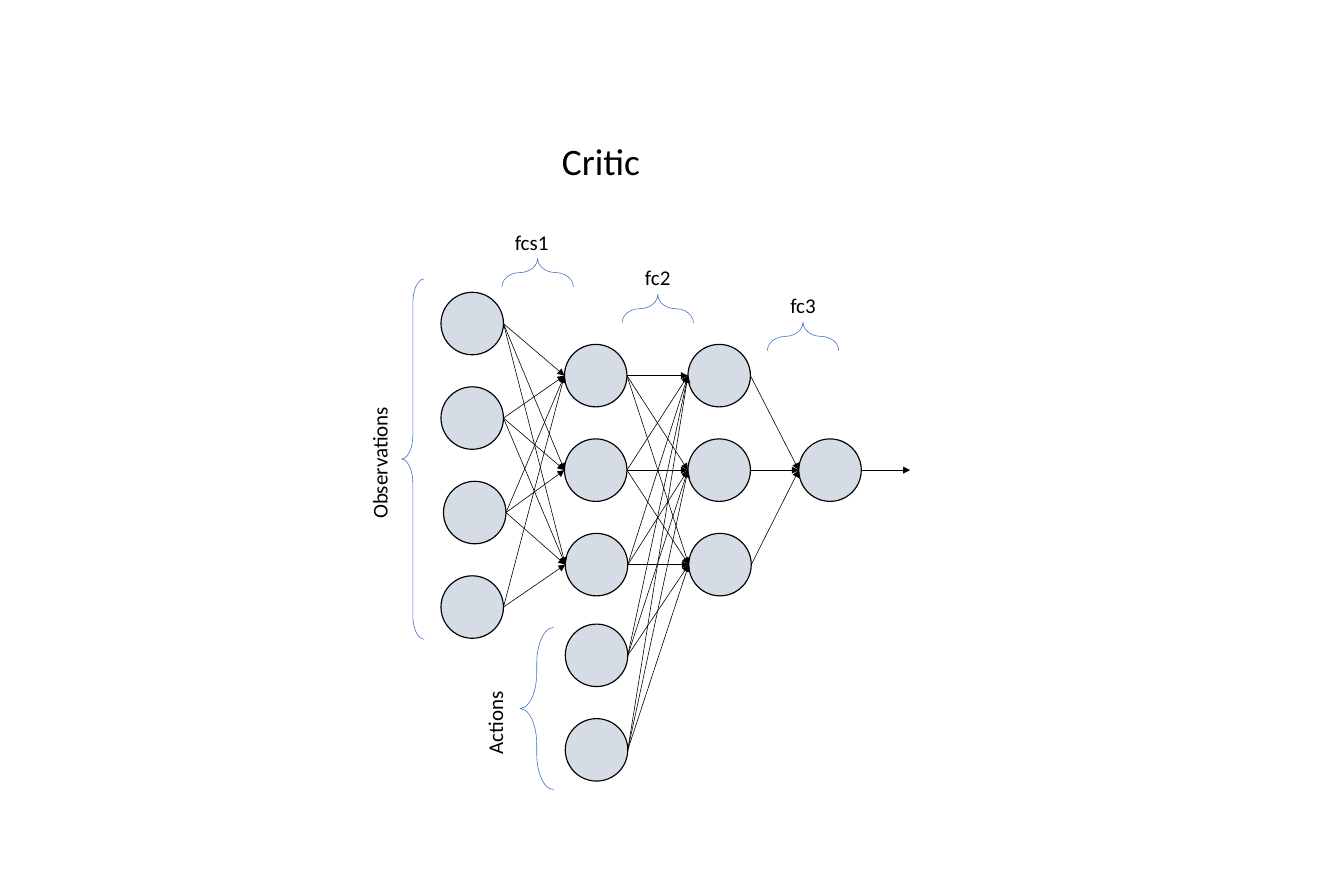
from dataclasses import dataclass
from itertools import product

from lxml import etree
from pptx import Presentation
from pptx import util as u
from pptx.dml.color import RGBColor
from pptx.enum import shapes, text
from pptx.oxml.ns import qn

SLIDE_W, SLIDE_H = 16, 10.5
NODE = 0.744   # circle diameter
ROW = 1.125    # distance between circles in a layer
BLACK, NODE_FILL, BRACE_BLUE = "000000", "D6DCE5", "4472C4"


@dataclass
class Layer:
    left: float
    top: float
    count: int
    nudges: tuple = ()  # small shift to the right, by row

    def nodes(self) -> list:
        shifts = dict(self.nudges)
        return [(self.left + shifts.get(i, 0), self.top + i * ROW)
                for i in range(self.count)]


@dataclass
class Label:
    words: str
    left: float
    top: float
    width: float
    turn: int = 0


@dataclass
class Brace:
    left: float
    top: float
    width: float
    height: float
    turn: int = 0


def rgb(color: str) -> RGBColor:
    return RGBColor.from_string(color)


def style_text(tf, words: str, size: float, wrap: bool) -> None:
    tf.text = words
    tf.word_wrap = wrap
    tf.vertical_anchor = text.MSO_ANCHOR.TOP
    p = tf.paragraphs[0]
    p.alignment = text.PP_ALIGN.LEFT
    p.line_spacing = 1.0
    p.space_before = u.Pt(0)
    p.font.name, p.font.size = "Calibri", u.Pt(size)
    p.font.color.rgb = rgb(BLACK)


def add_node(slide, left: float, top: float) -> None:
    sp = slide.shapes.add_shape(shapes.MSO_SHAPE.OVAL, *map(u.Inches, (left, top, NODE, NODE)))
    sp.shadow.inherit = False
    sp.fill.solid()
    sp.fill.fore_color.rgb = rgb(NODE_FILL)
    sp.line.color.rgb = rgb(BLACK)
    sp.line.width = u.Pt(1)


def add_arrow(slide, start: tuple, end: tuple) -> None:
    line = slide.shapes.add_connector(
        shapes.MSO_CONNECTOR.STRAIGHT, *map(u.Inches, start + end))
    line.line.color.rgb = rgb(BLACK)
    line.line.width = u.Pt(0.5)
    etree.SubElement(line.line._get_or_add_ln(), qn("a:tailEnd"), type="triangle")
    etree.SubElement(line._element.spPr, qn("a:effectLst"))


def connect_layers(slide, sources: list, targets: list, skip: tuple = ()) -> None:
    for (i, (x1, y1)), (j, (x2, y2)) in product(enumerate(sources), enumerate(targets)):
        if (i, j) not in skip:
            add_arrow(slide, (x1 + NODE, y1 + NODE / 2), (x2, y2 + NODE / 2))


def add_brace(slide, brace: Brace) -> None:
    sp = slide.shapes.add_shape(
        shapes.MSO_SHAPE.LEFT_BRACE,
        *map(u.Inches, (brace.left, brace.top, brace.width, brace.height)))
    sp.adjustments[0], sp.adjustments[1] = 1.068, 0.5
    sp.rotation = brace.turn
    sp.shadow.inherit = False
    sp.fill.background()
    sp.line.color.rgb = rgb(BRACE_BLUE)
    sp.line.width = u.Pt(0.5)


def add_label(slide, label: Label) -> None:
    box = slide.shapes.add_textbox(
        *map(u.Inches, (label.left, label.top, label.width, 0.4)))
    box.rotation = label.turn
    style_text(box.text_frame, label.words, 18, wrap=not label.turn)


def main() -> None:
    prs = Presentation()
    prs.slide_width, prs.slide_height = u.Inches(SLIDE_W), u.Inches(SLIDE_H)
    slide = prs.slides.add_slide(prs.slide_layouts[5])

    # Title
    title = slide.shapes.title
    title.left, title.top, title.width, title.height = map(u.Inches, (6.59, 1.6, 1.15, 0.64))
    style_text(title.text_frame, "Critic", 32, wrap=False)

    # Network layers
    observations = Layer(5.25, 3.48, 4, ((2, 0.03),)).nodes()
    hidden = Layer(6.72, 4.1, 3, ((2, 0.01),)).nodes()
    actions = Layer(6.73, 7.43, 2).nodes()
    merged = Layer(8.19, 4.1, 3, ((2, 0.01),)).nodes()
    output = Layer(9.51, 4.1 + ROW, 1).nodes()
    for left, top in observations + hidden + actions + merged + output:
        add_node(slide, left, top)

    # Arrows between layers, then out of the network
    connect_layers(slide, observations, hidden, skip=((3, 1),))
    connect_layers(slide, hidden + actions, merged)
    connect_layers(slide, merged, output)
    out_x, out_y = output[0][0] + NODE, output[0][1] + NODE / 2
    add_arrow(slide, (out_x, out_y), (out_x + 0.58, out_y))

    # Braces: inputs at the left, layer names above
    braces = [Brace(4.78, 3.32, 0.27, 4.29), Brace(6.19, 7.47, 0.4, 1.93)]
    braces += [Brace(left, top, 0.34, 0.85, 90)
               for left, top in ((6.23, 2.82), (7.66, 3.25), (9.39, 3.58))]
    for brace in braces:
        add_brace(slide, brace)

    # Labels
    for label in (
        Label("Observations", 3.74, 5.3, 1.55, 270),
        Label("Actions", 5.41, 8.4, 0.96, 270),
        Label("fcs1", 6.03, 2.68, 0.85),
        Label("fc2", 7.58, 3.1, 0.51),
        Label("fc3", 9.31, 3.43, 0.51),
    ):
        add_label(slide, label)

    prs.save("out.pptx")


if __name__ == "__main__":
    main()
